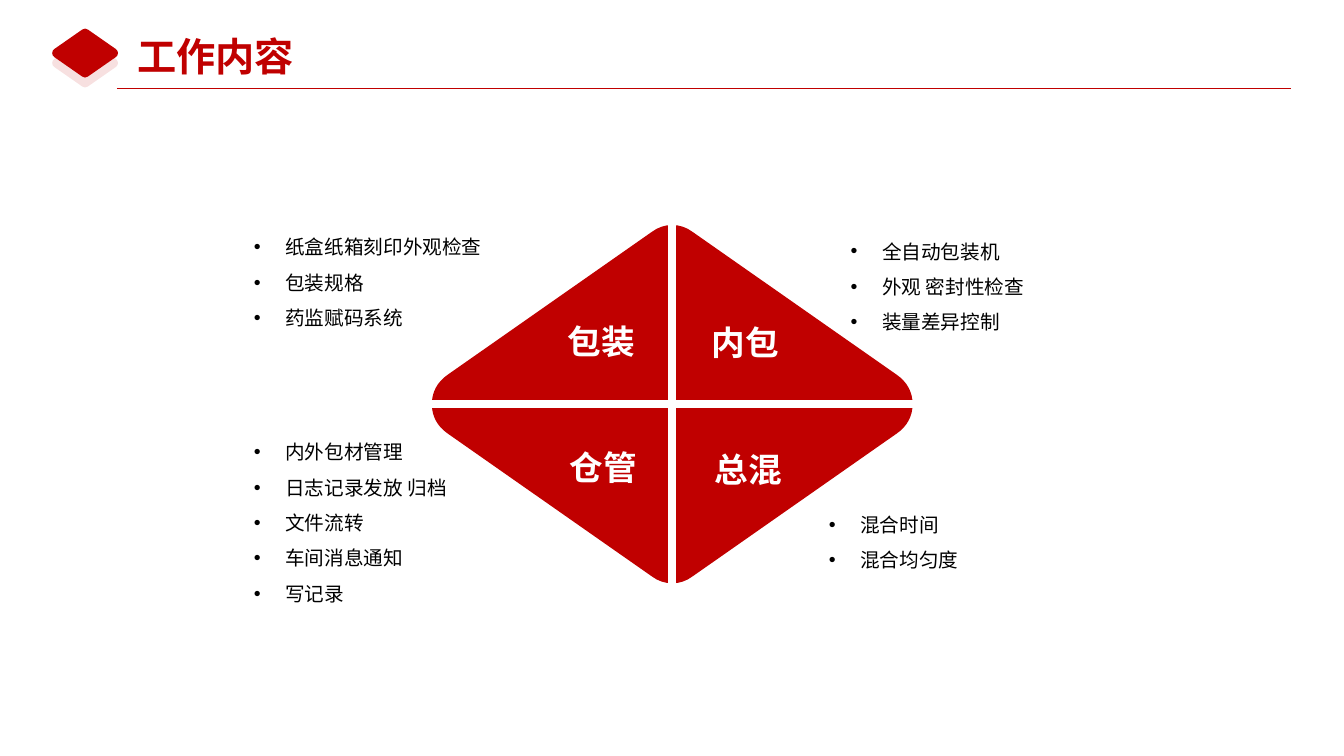
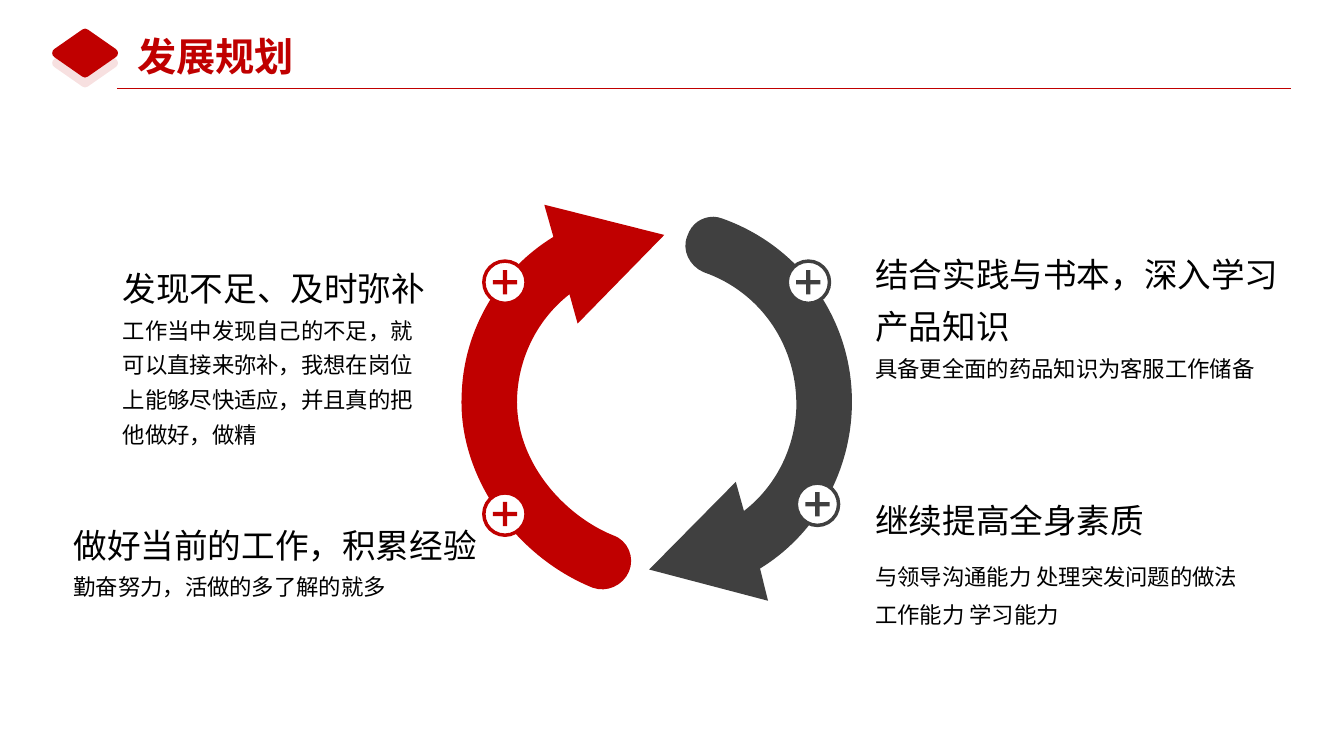
from dataclasses import dataclass

from lxml.etree import SubElement
from pptx import Presentation
from pptx.dml.color import RGBColor
from pptx.enum.shapes import MSO_CONNECTOR, MSO_SHAPE
from pptx.enum.text import MSO_AUTO_SIZE
from pptx.oxml.ns import qn
from pptx.util import Pt


@dataclass(frozen=True)
class Theme:
    red: str = "C00000"
    gray: str = "404040"
    white: str = "FFFFFF"
    black: str = "000000"
    latin: str = "Arial"
    cjk: str = "Noto Sans CJK SC"
    title: int = 28
    head: int = 24
    body: int = 16
    item: int = 14


T = Theme()

# Each step is one point (line) or three points (Bezier curve)
RISING = [
    (423.4, 419.8),
    ((433.4, 423.4), (445, 418.3), (449.3, 408.2)),
    ((453.6, 398.2), (448.6, 385.9), (437.8, 382.3)),
    ((402.5, 367.9), (367.2, 329), (369.4, 283)),
    ((370.8, 254.2), (384.5, 227.5), (406.8, 210.2)),
    (412.6, 231.1), (474.5, 167.8), (388.8, 146.2), (395.3, 169.2),
    ((356.4, 193), (331.2, 235.4), (329.8, 281.5)),
    ((326.9, 338.4), (366.5, 396.7), (423.4, 419.8)),
]
FALLING = [
    (502.6, 194.4),
    ((544.3, 208.8), (570.2, 248.4), (568.8, 292.3)),
    ((567.4, 321.1), (553.7, 347.8), (531.4, 365)),
    (525.6, 344.2), (463.7, 406.8), (548.6, 429.1), (542.9, 406.1),
    ((581.8, 382.3), (606.2, 339.8), (608.4, 293.8)),
    ((611.3, 232.6), (574.6, 177.1), (516.2, 156.2)),
    ((514.1, 155.5), (511.9, 154.8), (509.8, 154.8)),
    ((501.1, 154.8), (493.9, 159.8), (491, 168.5)),
    ((486.7, 178.6), (492.5, 190.1), (502.6, 194.4)),
]
# Rounded diamond around (0, 0), in percent of its half width and height
DIAMOND = [
    (-8.4, -95),
    ((-3.4, -100), (3.4, -100), (8.4, -95)),
    (93.5, -16.1),
    ((97.7, -12.2), (100, -6.7), (100, 0)),
    ((100, 6.7), (97.7, 12.2), (93.5, 16.1)),
    (8.4, 95),
    ((3.4, 100), (-3.4, 100), (-8.4, 95)),
    (-93.5, 16.1),
    ((-97.7, 12.2), (-100, 6.7), (-100, 0)),
    ((-100, -6.7), (-97.7, -12.2), (-93.5, -16.1)),
]


def rgb(color):
    return RGBColor.from_string(color)


# Shapes and lines
def paint(shape, fill, line=None, width=0):
    shape.shadow.inherit = False
    shape.fill.solid()
    shape.fill.fore_color.rgb = rgb(fill)
    if line:
        shape.line.color.rgb = rgb(line)
        shape.line.width = Pt(width)
    else:
        shape.line.fill.background()
    return shape


def outline(slide, steps, fill):
    """Draw every point as a line, then join triples into curves."""
    first, *rest = steps
    rows = [step if isinstance(step[0], tuple) else (step,) for step in rest]
    pen = slide.shapes.build_freeform(*(Pt(n) for n in first))
    pen.add_line_segments([(Pt(x), Pt(y)) for row in rows for x, y in row],
                          close=True)
    shape = pen.convert_to_shape()
    marks = iter(list(shape._element.iter(qn("a:lnTo"))))
    for row in rows:
        group = [next(marks) for _ in row]
        if len(group) == 3:
            curve, *others = group
            for other in others:
                curve.append(other[0])
                other.getparent().remove(other)
            curve.tag = qn("a:cubicBezTo")
    return paint(shape, fill)


def diamond(slide, x, y, w, h, fill):
    def place(step):
        if isinstance(step[0], tuple):
            return tuple(place(point) for point in step)
        return x + step[0] * w / 100, y + step[1] * h / 100
    return outline(slide, [place(step) for step in DIAMOND], fill)


def fade(shape, percent):
    color = next(shape._element.spPr.iter(qn("a:srgbClr")))
    SubElement(color, qn("a:alpha")).set("val", str(percent * 1000))


def rule(slide, start, end, color, width):
    line = slide.shapes.add_connector(
        MSO_CONNECTOR.STRAIGHT, *(Pt(n) for n in (*start, *end)))
    line.line.color.rgb = rgb(color)
    line.line.width = Pt(width)
    SubElement(line._element.spPr, qn("a:effectLst"))


def badge(slide, x, y, color):
    """Ringed plus sign centred on (x, y)."""
    for kind, size in ((MSO_SHAPE.OVAL, 30.2), (MSO_SHAPE.CROSS, 17.3)):
        left, top = x - size / 2, y - size / 2
        mark = slide.shapes.add_shape(
            kind, Pt(left), Pt(top), Pt(size), Pt(size))
        if kind == MSO_SHAPE.OVAL:
            paint(mark, T.white, color, 2.5)
        else:
            mark.adjustments[0] = 0.41
            paint(mark, color)


# Text
def frame(slide, x, y, w, h, wrap=True):
    box = slide.shapes.add_textbox(Pt(x), Pt(y), Pt(w), Pt(h))
    area = box.text_frame
    area.word_wrap = wrap
    area.auto_size = MSO_AUTO_SIZE.SHAPE_TO_FIT_TEXT
    return area


def write(para, text, size, color=T.black, bold=False, face=T.cjk):
    run = para.add_run()
    run.text = text
    font = run.font
    font.size, font.bold, font.name = Pt(size), bold, face
    font.color.rgb = rgb(color)
    SubElement(font._element, qn("a:ea")).set("typeface", T.cjk)


def lines(area, texts):
    """Yield a paragraph for each text."""
    for i, text in enumerate(texts):
        yield (area.add_paragraph() if i else area.paragraphs[0]), text


def label(slide, x, y, w, h, text, size, color):
    area = frame(slide, x, y, w, h, False)
    write(area.paragraphs[0], text, size, color, True, T.latin)


def bullets(slide, x, y, h, *items):
    area = frame(slide, x, y, 303.8, h)
    for para, text in lines(area, items):
        para.line_spacing = 1.5
        props = para._p.get_or_add_pPr()
        props.set("marL", str(Pt(22.5)))
        props.set("indent", str(-Pt(22.5)))
        SubElement(props, qn("a:buFont")).set("typeface", T.latin)
        SubElement(props, qn("a:buChar")).set("char", "•")
        write(para, text, T.item)


def note(slide, x, y, w, h, head, *body):
    area = frame(slide, x, y, w, h)
    for para, text in lines(area, (head, *body)):
        para.line_spacing = 1.3
        write(para, text, T.head if text == head else T.body)
    return area


# Slides
def start(deck, title, width):
    slide = deck.slides.add_slide(deck.slide_layouts[6])
    diamond(slide, 60.8, 37.9, 23.5, 17.7, T.red)
    fade(diamond(slide, 60.8, 45, 23.5, 17.7, T.red), 12)
    rule(slide, (83.5, 63.4), (922, 63.4), T.red, 0.5)
    label(slide, 90.9, 19.4, width, 41, title, T.title, T.red)
    return slide


def work(deck):
    slide = start(deck, "工作内容", 129.6)
    # Diamond cut in four
    x, y = 480.2, 288.7
    diamond(slide, x, y, 171.7, 129.6, T.red)
    rule(slide, (291.6, y), (665.3, y), T.white, 5.75)
    rule(slide, (x, 146.9), (x, 440.6), T.white, 5.75)
    for left, top, text in ((398.4, 225.7, "包装"), (501.1, 226.4, "内包"),
                            (399.9, 315.4, "仓管"), (503.3, 316.8, "总混")):
        label(slide, left, top, 62.6, 36, text, T.head, T.white)
    # Duties beside each part
    bullets(slide, 174.2, 156.2, 134.6,
            "纸盒纸箱刻印外观检查", "包装规格", "药监赋码系统")
    bullets(slide, 174.2, 302.6, 159.8,
            "内外包材管理", "日志记录发放 归档", "文件流转",
            "车间消息通知", "写记录")
    bullets(slide, 600.5, 159.1, 83.5,
            "全自动包装机", "外观 密封性检查", "装量差异控制")
    bullets(slide, 584.9, 354.2, 58.3, "混合时间", "混合均匀度")


def plan(deck):
    slide = start(deck, "发展规划", 127.4)
    # Cycle of two arrows
    outline(slide, RISING, T.red)
    outline(slide, FALLING, T.gray)
    for x, y, color in ((360.7, 201.6, T.red), (360.7, 367.2, T.red),
                        (577.4, 201.6, T.gray), (583.9, 360.2, T.gray)):
        badge(slide, x, y, color)
    # Goals around the cycle
    note(slide, 80.6, 179.5, 236.2, 145.4, "发现不足、及时弥补",
         "工作当中发现自己的不足，就可以直接来弥补，我想在岗位上能够尽快适应，"
         "并且真的把他做好，做精")
    note(slide, 45.4, 363, 306.7, 69.8, "做好当前的工作，积累经验",
         "勤奋努力，活做的多了解的就多")
    note(slide, 618.1, 169.2, 319, 183.6, "结合实践与书本，深入学习产品知识",
         "具备更全面的药品知识为客服工作储备")
    area = note(slide, 618.1, 345, 319, 108, "继续提高全身素质",
                "与领导沟通能力 处理突发问题的做法", "工作能力 学习能力")
    # A large closing space gives this line the height of a heading
    write(area.paragraphs[1], " ", T.head)


def main():
    deck = Presentation()
    deck.slide_width, deck.slide_height = Pt(960), Pt(540)
    work(deck)
    plan(deck)
    deck.save("out.pptx")


if __name__ == "__main__":
    main()
